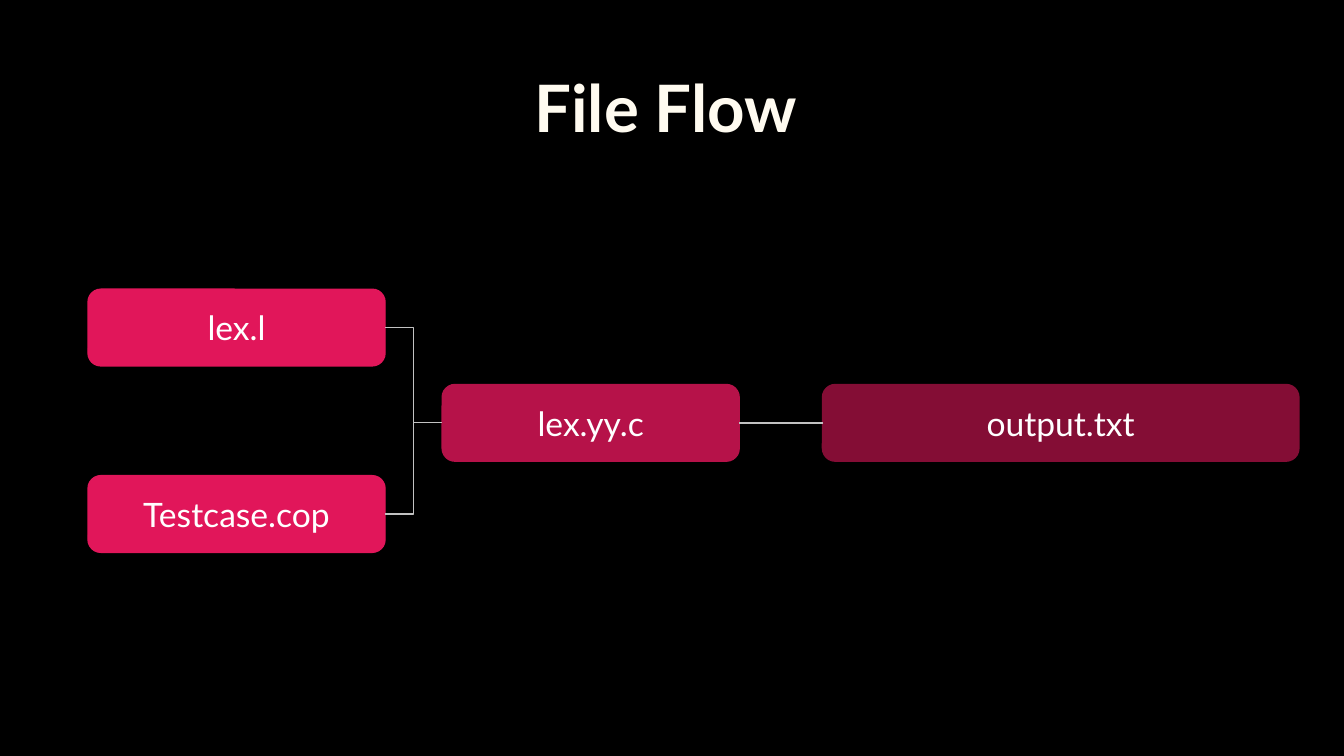
from dataclasses import dataclass
from lxml.etree import SubElement
from pptx import Presentation
from pptx.dml.color import RGBColor as Rgb
from pptx.enum.shapes import MSO_CONNECTOR as Link, MSO_SHAPE as Kind
from pptx.enum.text import MSO_ANCHOR as Anchor, PP_ALIGN as Align
from pptx.oxml.ns import qn
from pptx.util import Inches, Pt


@dataclass(frozen=True)
class Theme:
    font: str = "Lato"
    back: str = "000000"
    title: str = "FFFBF0"
    text: str = "FFFFFF"
    line: str = "C2C2C2"
    fills: tuple = ("E1165A", "B61249", "840D35")
    big: int = 35
    body: int = 18
    rule: float = 0.75


theme = Theme()
WIDE = Inches(10)
HIGH = WIDE * 9 // 16
GRID = 100  # columns and rows on the slide


def place(left, top, width, height):
    """Turn grid columns and rows into slide lengths."""
    col, row = WIDE / GRID, HIGH / GRID
    return [round(n) for n in (left * col, top * row, width * col, height * row)]


def write(shape, text, size, color, bold=False):
    frame = shape.text_frame
    frame.text = text
    frame.word_wrap = True
    frame.vertical_anchor = Anchor.MIDDLE
    frame.margin_left = frame.margin_right = Inches(0.1)
    frame.margin_top = frame.margin_bottom = Inches(0.1)
    para = frame.paragraphs[0]
    para.alignment = Align.CENTER
    font = para.runs[0].font
    font.name, font.size, font.bold = theme.font, Pt(size), bold
    font.color.rgb = Rgb.from_string(color)


def add_node(slide, box, text, fill):
    node = slide.shapes.add_shape(Kind.ROUNDED_RECTANGLE, *place(*box))
    node.shadow.inherit = False
    node.fill.solid()
    node.fill.fore_color.rgb = node.line.color.rgb = Rgb.from_string(fill)
    node.line.width = Pt(theme.rule)
    write(node, text, theme.body, theme.text)
    return node


def join(slide, start, end):
    """Link the right side of one node to the left side of the next."""
    link = slide.shapes.add_connector(Link.ELBOW, 0, 0, 0, 0)
    link.begin_connect(start, 3)
    link.end_connect(end, 1)
    link.line.color.rgb = Rgb.from_string(theme.line)
    link.line.width = Pt(theme.rule)
    SubElement(link.element.spPr, qn("a:effectLst"))


def add_title(slide, box, text):
    title = slide.shapes.add_textbox(*place(*box))
    write(title, text, theme.big, theme.title, bold=True)


def add_flow(slide, box):
    left, top, width, height = box
    tall, slim = 10.14, 22.1
    low = height - tall
    mid = 12.6
    last = 54.65
    # Text, column, row, width and level of each file
    files = (
        ("lex.l", 0, 0, slim, 0),
        ("Testcase.cop", 0, low, slim, 0),
        ("lex.yy.c", 26.35, mid, slim, 1),
        ("output.txt", last, mid, width - last, 2),
    )
    nodes = [
        add_node(slide, (left + col, top + row, span, tall), text, theme.fills[level])
        for text, col, row, span, level in files
    ]
    # Two inputs meet in the scanner, which feeds the output
    source, case, scan, result = nodes
    for start, end in ((source, scan), (case, scan), (scan, result)):
        join(slide, start, end)


def main():
    deck = Presentation()
    deck.slide_width, deck.slide_height = WIDE, HIGH
    slide = deck.slides.add_slide(deck.slide_layouts[6])
    slide.background.fill.solid()
    slide.background.fill.fore_color.rgb = Rgb.from_string(theme.back)
    add_title(slide, (6.55, 7.05, 86, 14.1), "File Flow")
    add_flow(slide, (6.55, 38.26, 90.1, 34.8))
    deck.save("out.pptx")


if __name__ == "__main__":
    main()
